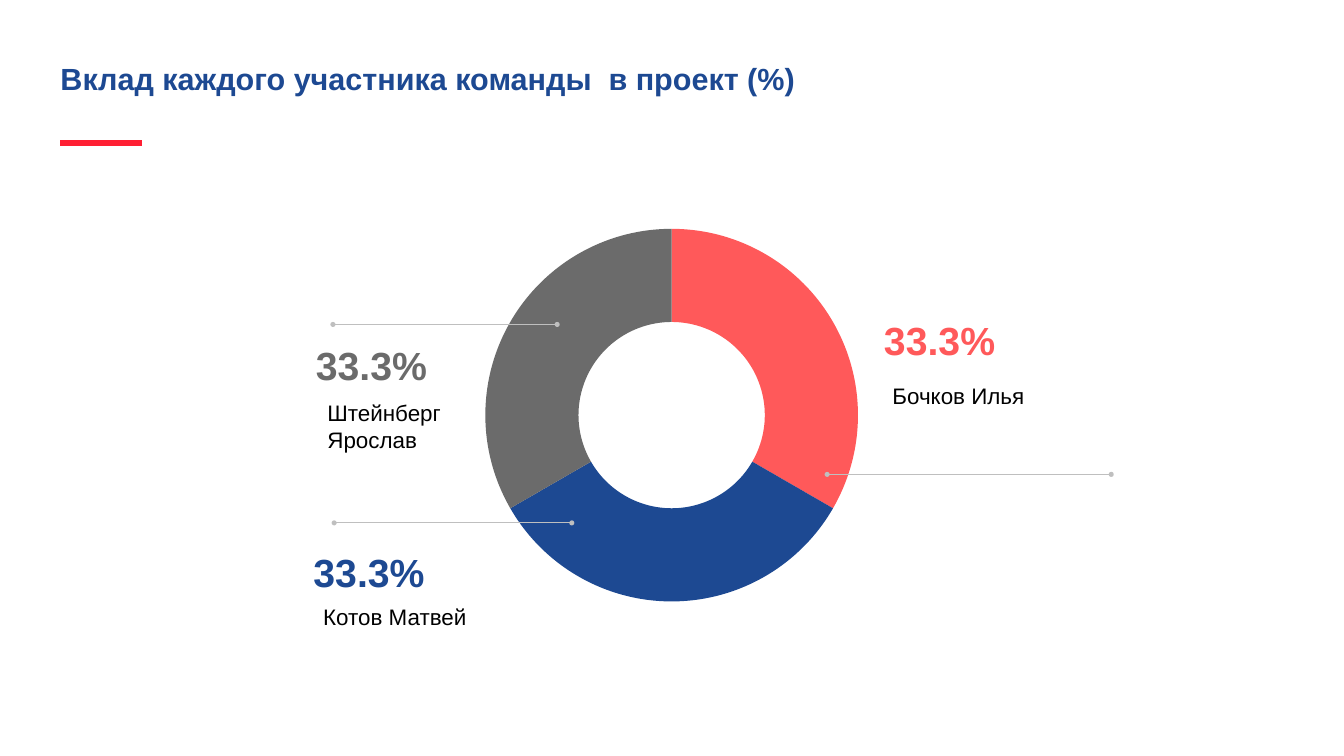
from lxml.etree import SubElement
from pptx import Presentation
from pptx.chart.data import CategoryChartData
from pptx.dml.color import RGBColor
from pptx.enum.chart import XL_CHART_TYPE
from pptx.enum.shapes import MSO_CONNECTOR
from pptx.enum.text import MSO_AUTO_SIZE, PP_ALIGN
from pptx.oxml import parse_xml
from pptx.oxml.ns import nsdecls, qn
from pptx.util import Inches, Pt

WIDTH, HEIGHT = Inches(21.99), Inches(12.37)
COLUMN, ROW = WIDTH / 22, HEIGHT / 12

CORAL = RGBColor(0xFF, 0x59, 0x5A)
BLUE = RGBColor(0x1D, 0x49, 0x92)
GRAY = RGBColor(0x6B, 0x6B, 0x6B)
RED = RGBColor(0xFF, 0x1F, 0x33)
SILVER = RGBColor(0xBF, 0xBF, 0xBF)
BLACK = RGBColor(0, 0, 0)

# Share colour, its place, member's name, place of the name
MEMBERS = [
    (CORAL, (14.36, 4.97), "Бочков Илья", (14.51, 6.01, 4.61)),
    (BLUE, (5.02, 8.65), "Котов Матвей", (5.19, 9.53, 5.19)),
    (GRAY, (5.06, 5.37), "Штейнберг Ярослав", (5.26, 6.29, 2.73)),
]
# Leader lines: first column, last column, row
LEADERS = [(13.54, 18.19, 7.53), (5.45, 9.12, 5.15), (5.47, 9.36, 8.3)]


def grid(column, row):
    return round(column * COLUMN), round(row * ROW)


def add_text(shapes, place, size, text, points, color, bold=False, wrap=True):
    box = shapes.add_textbox(*grid(*place), *grid(*size))
    frame = box.text_frame
    frame.word_wrap = wrap
    frame.auto_size = MSO_AUTO_SIZE.SHAPE_TO_FIT_TEXT
    span = frame.paragraphs[0].add_run()
    span.text = text
    span.font.name = "Arial"
    span.font.size = Pt(points)
    span.font.bold = bold
    span.font.color.rgb = color
    return frame


def add_line(page, start, end, row, color, points, dots=False):
    line = page.shapes.add_connector(
        MSO_CONNECTOR.STRAIGHT, *grid(start, row), *grid(end, row))
    line.line.color.rgb = color
    line.line.width = Pt(points)
    properties = line._element.spPr
    if dots:
        outline = properties.find(qn("a:ln"))
        for tip in ("a:headEnd", "a:tailEnd"):
            SubElement(outline, qn(tip), type="oval")
    SubElement(properties, qn("a:effectLst"))


def add_title(page, text):
    frame = add_text(page.shapes, (0.99, 0.93), (14.04, 0.57), text, 36, BLUE, True)
    frame.margin_left = frame.margin_right = frame.margin_bottom = 0
    frame.margin_top = Inches(0.01)
    para = frame.paragraphs[0]
    para.line_spacing = 1.01
    para.space_before = Pt(0.9)
    add_line(page, 0.99, 2.33, 2.27, RED, 6)


def add_ring(page):
    data = CategoryChartData()
    data.categories = ["1", "2", "3"]
    data.add_series("Series 1", [33] * len(MEMBERS))
    chart = page.shapes.add_chart(
        XL_CHART_TYPE.DOUGHNUT, *grid(7.75, 3.49), *grid(6.49, 6.2), data).chart
    chart.has_legend = chart.has_title = False
    chart.font.name = "Calibri"
    chart.font.size = Pt(10)
    chart.font.color.rgb = BLACK
    plot = chart.plots[0]
    plot.vary_by_categories = False
    for index, (color, *_) in enumerate(MEMBERS):
        point = plot.series[0].points[index].format
        point.fill.solid()
        point.fill.fore_color.rgb = color
        point.line.fill.background()
    plot._element.find(qn("c:holeSize")).set("val", "60")

    # Ring centred in the chart frame
    area = chart._chartSpace.chart.plotArea
    for layout in area.findall(qn("c:layout")):
        area.remove(layout)
    area.insert(0, parse_xml(
        f'<c:layout {nsdecls("c")}><c:manualLayout><c:layoutTarget val="inner"/>'
        '<c:xMode val="edge"/><c:yMode val="edge"/><c:x val="0.03"/><c:y val="0.02"/>'
        '<c:w val="0.94"/><c:h val="0.96"/></c:manualLayout></c:layout>'))


def add_member(page, color, share_place, name, name_place):
    shapes = page.shapes.add_group_shape().shapes
    share = add_text(shapes, share_place, (2.04, 0.85), "33.3%", 46.2, color, True, wrap=False)
    share.paragraphs[0].alignment = PP_ALIGN.CENTER
    left, top, width = name_place
    add_text(shapes, (left, top), (width, 0.96), name, 26.4, BLACK)


def main():
    deck = Presentation()
    deck.slide_width, deck.slide_height = WIDTH, HEIGHT
    page = deck.slides.add_slide(deck.slide_layouts[6])

    add_title(page, "Вклад каждого участника команды  в проект (%)")
    add_ring(page)
    for start, end, row in LEADERS:
        add_line(page, start, end, row, SILVER, 1, dots=True)
    for member in MEMBERS:
        add_member(page, *member)

    deck.save("out.pptx")


if __name__ == "__main__":
    main()
